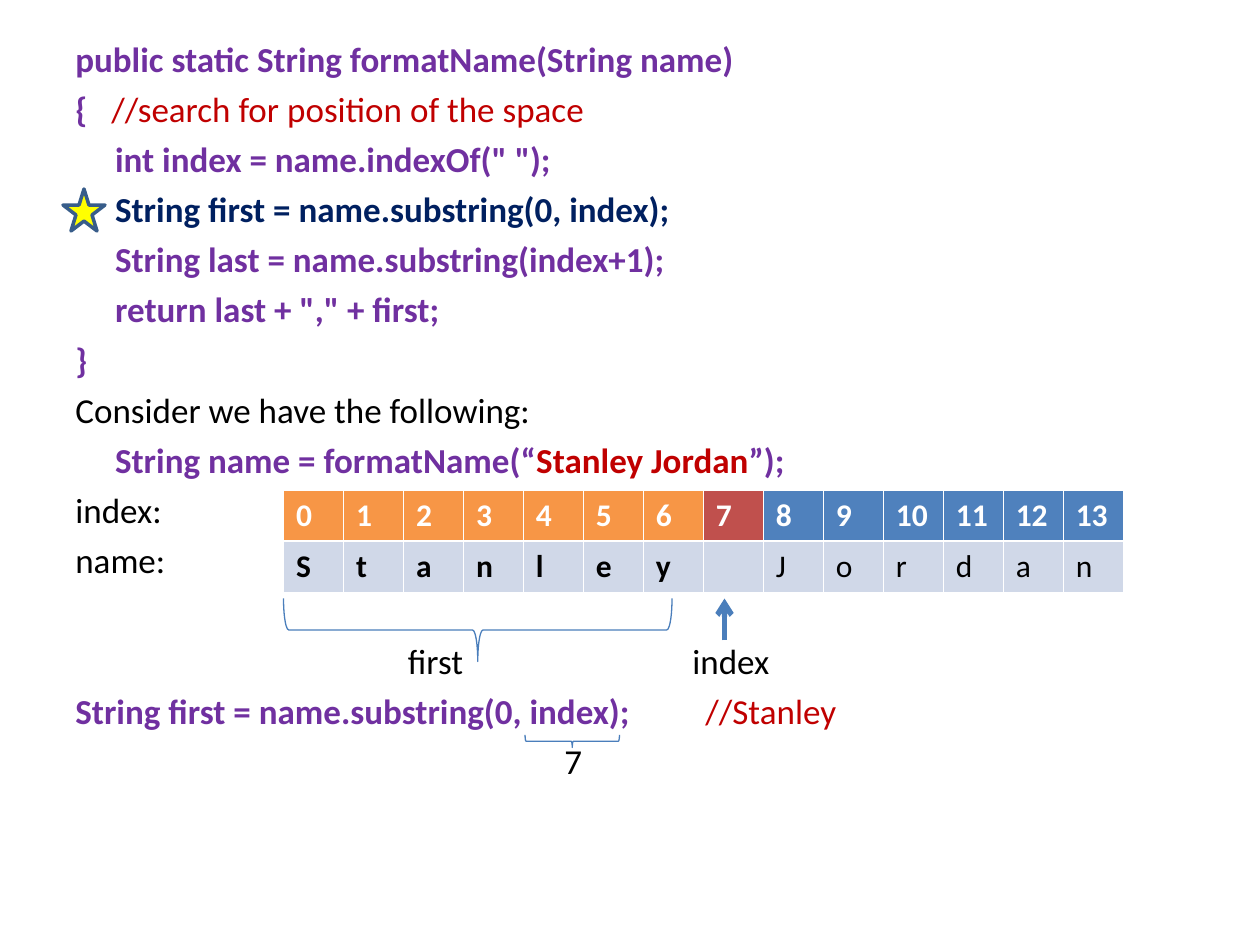
from lxml.etree import SubElement
from pptx import Presentation
from pptx.dml.color import RGBColor as RGB
from pptx.enum.shapes import MSO_CONNECTOR as LINE, MSO_SHAPE as SHAPE
from pptx.oxml.ns import qn
from pptx.util import Pt

HUE = {
    "code": "7030A0", "note": "C00000", "focus": "002060", "text": "000000",
    "white": "FFFFFF", "line": "4A7EBB", "star": "FFFF00", "edge": "385D8A",
    "first": "F79646", "space": "C0504D", "last": "4F81BD", "cell": "D0D8E8",
}
FACE = "Calibri"
NAME = "Stanley Jordan"
GAP = 4.6
INDENT = 22.7

# Each line: runs of (text, colour, bold), then indent, tab stops, space before
LINES = [
    ([("public static String formatName(String name)", "code", True)], 0, [], GAP),
    ([("{\t", "code", True),
      ("//search for position of the space", "note", False)], 0, [20.6], GAP),
    ([('int index = name.indexOf(" ");', "code", True)], INDENT, [], GAP),
    ([("String first = name.substring(0, index);", "focus", True)], INDENT, [], GAP),
    ([("String last = name.substring(index+1);", "code", True)], INDENT, [], GAP),
    ([('return last + "," + first;', "code", True)], INDENT, [], GAP),
    ([("}", "code", True)], 0, [], GAP),
    ([("Consider we have the following:", "text", False)], 0, [], GAP),
    ([("String name = formatName(“", "code", True), (NAME, "note", True),
      ("”);", "code", True)], INDENT, [], GAP),
    ([("index:", "text", False)], 0, [], GAP),
    ([("name:", "text", False)], 0, [], GAP),
    ([("\tfirst\tindex", "text", False)], 0, [190, 352.6], GAP + 29),
    ([("String first = name.substring(0, index);\t", "code", True),
      ("//Stanley", "note", False)], 0, [360], GAP),
    ([("\t7", "text", False)], 0, [279.5], GAP),
]


def color(key):
    return RGB.from_string(HUE[key])


def style(font, size, key, bold):
    font.name, font.size, font.bold = FACE, Pt(size), bold
    font.color.rgb = color(key)


def add_run(para, text, size, key, bold):
    run = para.add_run()
    run.text = text
    style(run.font, size, key, bold)


def set_tabs(para, stops):
    tabs = SubElement(para._p.get_or_add_pPr(), qn("a:tabLst"))
    for stop in stops:
        SubElement(tabs, qn("a:tab"), pos=str(Pt(stop)), algn="l")


def add_code(slide):
    frame = slide.shapes.add_textbox(Pt(36), Pt(18), Pt(648), Pt(464.4)).text_frame
    frame.word_wrap = True
    for i, (runs, indent, stops, before) in enumerate(LINES):
        para = frame.paragraphs[0] if i == 0 else frame.add_paragraph()
        para.space_before = Pt(before)
        para._p.get_or_add_pPr().set("marL", str(Pt(indent)))
        if stops:
            set_tabs(para, stops)
        for text, key, bold in runs:
            add_run(para, text, 20, key, bold)


def set_borders(cell, top, bottom):
    props = cell._tc.get_or_add_tcPr()
    for side, width in (("L", 0.45), ("R", 0.45), ("T", top), ("B", bottom)):
        line = SubElement(props, qn("a:ln" + side), w=str(Pt(width)))
        fill = SubElement(line, qn("a:solidFill"))
        SubElement(fill, qn("a:srgbClr"), val=HUE["white"])


def fill_cell(cell, text, fill, key, bold):
    cell.fill.solid()
    cell.fill.fore_color.rgb = color(fill)
    if text.strip():
        add_run(cell.text_frame.paragraphs[0], text, 18, key, bold)
    else:
        style(cell.text_frame.paragraphs[0].font, 18, key, bold)


def add_letters(slide):
    """Table of the name's letters under their indexes."""
    count, split = len(NAME), NAME.index(" ")
    table = slide.shapes.add_table(2, count, Pt(162), Pt(280), Pt(480), Pt(58.4)).table
    for row in table.rows:
        row.height = Pt(29.2)
    for i, letter in enumerate(NAME):
        table.columns[i].width = Pt(480 / count)
        head, body = table.cell(0, i), table.cell(1, i)
        set_borders(head, 0.45, 1.47)
        set_borders(body, 1.47, 0.45)
        part = "first" if i < split else "space" if i == split else "last"
        fill_cell(head, str(i), part, "white", True)
        fill_cell(body, letter, "cell", "text", i < split)


def add_brace(slide, mid, top, width, depth):
    """Brace that opens upward, its point at the bottom."""
    left, upper = mid - depth / 2, top + depth / 2 - width / 2
    brace = slide.shapes.add_shape(
        SHAPE.RIGHT_BRACE, Pt(left), Pt(upper), Pt(depth), Pt(width))
    brace.rotation = 90
    brace.shadow.inherit = False
    brace.fill.background()
    brace.line.color.rgb = color("line")
    brace.line.width = Pt(0.75)


def add_star(slide):
    star = slide.shapes.add_shape(SHAPE.STAR_5_POINT, Pt(36), Pt(108), Pt(24), Pt(24))
    star.shadow.inherit = False
    star.fill.solid()
    star.fill.fore_color.rgb = color("star")
    star.line.color.rgb = color("edge")
    star.line.width = Pt(2)


def add_arrow(slide, x, start, end):
    arrow = slide.shapes.add_connector(LINE.STRAIGHT, Pt(x), Pt(start), Pt(x), Pt(end))
    arrow.line.color.rgb = color("line")
    arrow.line.width = Pt(3)
    SubElement(arrow.line._get_or_add_ln(), qn("a:tailEnd"), type="arrow")
    SubElement(arrow._element.spPr, qn("a:effectLst"))


def main():
    deck = Presentation()
    deck.slide_width, deck.slide_height = Pt(720), Pt(540)
    slide = deck.slides.add_slide(deck.slide_layouts[6])
    add_code(slide)
    add_arrow(slide, 414, 366, 342)
    add_brace(slide, mid=273, top=342, width=222, depth=36)
    add_brace(slide, mid=327, top=420, width=54, depth=7.2)
    add_star(slide)
    add_letters(slide)
    deck.save("out.pptx")


if __name__ == "__main__":
    main()
